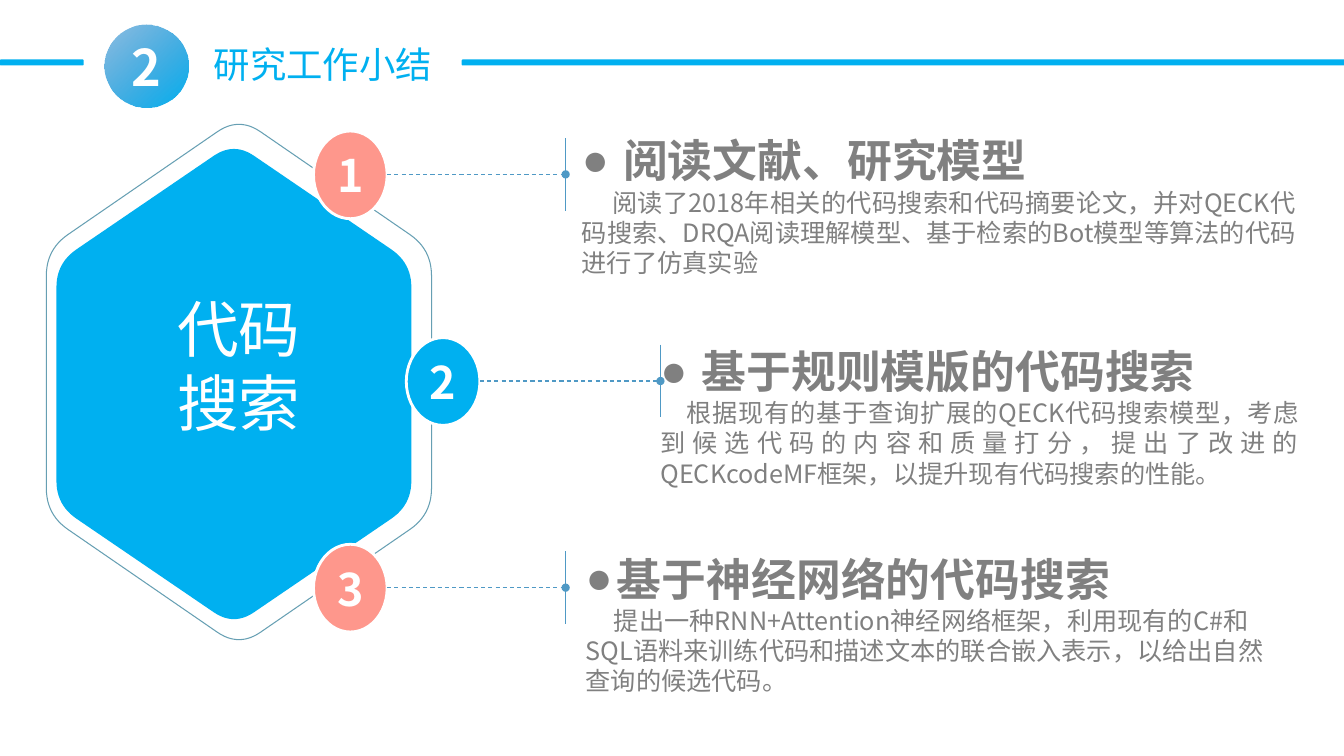
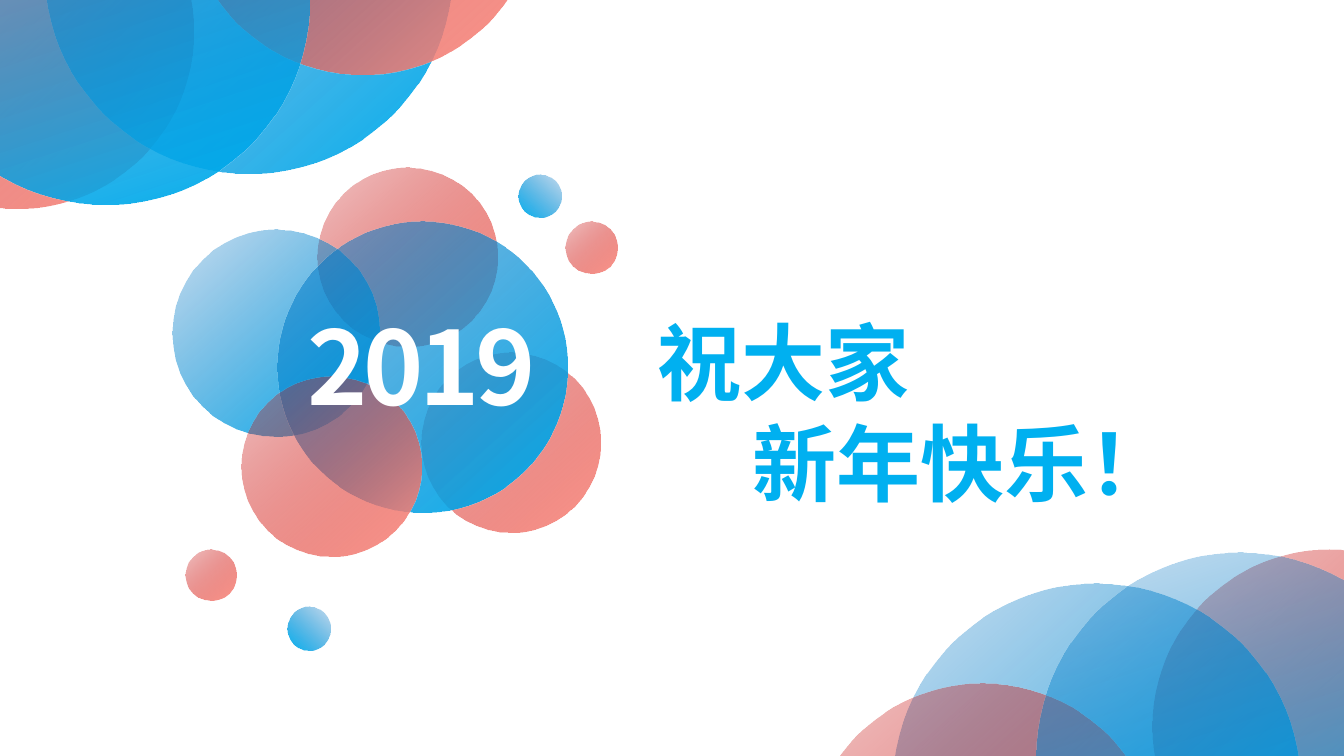
from lxml.etree import SubElement
from pptx import Presentation
from pptx.dml.color import RGBColor
from pptx.enum.dml import MSO_LINE
from pptx.enum.shapes import MSO_CONNECTOR, MSO_SHAPE
from pptx.enum.text import MSO_ANCHOR, MSO_AUTO_SIZE, PP_ALIGN
from pptx.oxml.ns import qn
from pptx.util import Pt

PX = 9144
FONT = "Noto Sans CJK SC"
WHITE, GREY = "FFFFFF", "808080"
BLUE, CORAL = "00B0F0", "FE978C"
RULE, OUTLINE = "4F99C5", "669FB3"
GRADIENT_START = {BLUE: "0070C0", CORAL: "C00000"}

TOPICS = [
    dict(marker=(311, 130), color=CORAL, rule=561, text=(577, 132, 708, 145),
         hanging=41, indent=30, align=PP_ALIGN.JUSTIFY,
         heading="阅读文献、研究模型",
         body="阅读了2018年相关的代码搜索和代码摘要论文，并对QECK代码搜索、"
              "DRQA阅读理解模型、基于检索的Bot模型等算法的代码进行了仿真实验"),
    dict(marker=(403, 335), color=BLUE, rule=655, text=(655, 341, 633, 145),
         hanging=41, indent=26, align=PP_ALIGN.JUSTIFY,
         heading="基于规则模版的代码搜索",
         body="根据现有的基于查询扩展的QECK代码搜索模型，考虑到候选代码的内容和"
              "质量打分，提出了改进的QECKcodeMF框架，以提升现有代码搜索的性能。"),
    dict(marker=(311, 540), color=CORAL, rule=561, text=(581, 547, 694, 145),
         hanging=31, indent=28, align=PP_ALIGN.LEFT,
         heading="基于神经网络的代码搜索",
         body="提出一种RNN+Attention神经网络框架，利用现有的C#和SQL语料来训练"
              "代码和描述文本的联合嵌入表示，以给出自然查询的候选代码。"),
]

BUBBLES = [
    (-159, -144, 351, CORAL, 48, 22),
    (44, -233, 405, BLUE, 48, 22),
    (184, -277, 351, CORAL, 48, 22),
    (-98, -202, 405, BLUE, 72, 22),
    (1143, 545, 351, CORAL, 48, 22),
    (885, 579, 405, BLUE, 48, 22),
    (799, 678, 351, CORAL, 48, 22),
    (1028, 548, 405, BLUE, 72, 22),
    (315, 166, 178, CORAL, 48, 22),
    (418, 350, 178, CORAL, 48, 22),
    (171, 228, 205, BLUE, 48, 22),
    (275, 220, 288, BLUE, 48, 44),
    (514, 173, 43, BLUE, 132, 22),
    (561, 220, 51, CORAL, 48, 22),
    (240, 374, 178, CORAL, 48, 22),
    (285, 602, 43, BLUE, 132, 22),
    (184, 545, 51, CORAL, 48, 22),
]


def rgb(value):
    """Turn a hex string into a colour."""
    return RGBColor.from_string(value)


def emu(*lengths):
    """Turn px lengths into EMU."""
    return [round(length * PX) for length in lengths]


def write(paragraph, text, size, color, bold=False, align=PP_ALIGN.LEFT,
          font=FONT, tracking=0):
    """Put one styled text into a paragraph."""
    paragraph.text = text
    paragraph.alignment = align
    style = paragraph.font
    style.name, style.size, style.bold = font, Pt(size), bold
    style.color.rgb = rgb(color)
    defaults = paragraph._p.pPr.find(qn("a:defRPr"))
    SubElement(defaults, qn("a:ea"), typeface=FONT)
    if tracking:
        defaults.set("spc", str(tracking * 100))


def indent(paragraph, first, left=0, bullet=None):
    """Set the indents of a paragraph and its bullet, if any."""
    properties = paragraph._p.get_or_add_pPr()
    properties.set("marL", str(left * PX))
    properties.set("indent", str(first * PX))
    if bullet:
        SubElement(properties, qn("a:buFont"), typeface="Arial")
        SubElement(properties, qn("a:buChar"), char=bullet)


def set_insets(frame, horizontal=0, vertical=0):
    """Wrap the text of a frame and set its margins."""
    frame.word_wrap = True
    frame.margin_left = frame.margin_right = horizontal * PX
    frame.margin_top = frame.margin_bottom = vertical * PX


def add_text(slide, box):
    """Add a wrapping text box without margins and return its frame."""
    frame = slide.shapes.add_textbox(*emu(*box)).text_frame
    set_insets(frame)
    return frame


def title_frame(slide, box):
    """Move the title placeholder and return its frame."""
    title = slide.shapes.title
    title.left, title.top, title.width, title.height = emu(*box)
    frame = title.text_frame
    set_insets(frame, 10, 5)
    frame.auto_size = MSO_AUTO_SIZE.NONE
    frame.vertical_anchor = MSO_ANCHOR.TOP
    return frame


def style_shape(shape, fill=None, line=None, weight=1):
    """Give a shape a plain fill and outline, and no shadow."""
    shape.shadow.inherit = False
    if fill:
        shape.fill.solid()
        shape.fill.fore_color.rgb = rgb(fill)
    else:
        shape.fill.background()
    if line:
        shape.line.color.rgb = rgb(line)
        shape.line.width = Pt(weight)
    else:
        shape.line.fill.background()


def label(shape, text, size, tracking=0):
    """Centre a bold white label in a shape."""
    frame = shape.text_frame
    set_insets(frame)
    frame.vertical_anchor = MSO_ANCHOR.MIDDLE
    write(frame.paragraphs[0], text, size, WHITE, True, PP_ALIGN.CENTER,
          tracking=tracking)


def add_bubble(slide, left, top, diameter, color, angle, opacity):
    """Add a circle that fades in along a clockwise angle."""
    bubble = slide.shapes.add_shape(
        MSO_SHAPE.OVAL, *emu(left, top, diameter, diameter))
    style_shape(bubble)
    bubble.fill.gradient()
    bubble.fill.gradient_angle = 360 - angle
    start, end = bubble.fill.gradient_stops
    start.color.rgb, end.color.rgb = rgb(GRADIENT_START[color]), rgb(color)
    start_color = next(bubble._element.spPr.iter(qn("a:srgbClr")))
    SubElement(start_color, qn("a:alpha"), val=str(opacity * 1000))
    return bubble


def add_line(slide, start, end, dotted_end=False):
    """Add a thin rule, or a dashed one that ends in a dot."""
    rule = slide.shapes.add_connector(
        MSO_CONNECTOR.STRAIGHT, *emu(*start, *end))
    rule.line.color.rgb = rgb(RULE)
    rule.line.width = Pt(0.75)
    if dotted_end:
        rule.line.dash_style = MSO_LINE.DASH
        SubElement(rule.line._get_or_add_ln(), qn("a:tailEnd"), type="oval")
    SubElement(rule._element.spPr, qn("a:effectLst"))


def toward(start, end, distance):
    """Return the point at a distance from start on the way to end."""
    dx, dy = end[0] - start[0], end[1] - start[1]
    share = distance / (dx * dx + dy * dy) ** 0.5
    return start[0] + dx * share, start[1] + dy * share


def add_hexagon(slide, center, half_width, half_height, cut, **style):
    """Add an upright hexagon with rounded corners."""
    x, y = center
    shoulder = half_height / 2
    corners = [(x, y - half_height), (x + half_width, y - shoulder),
               (x + half_width, y + shoulder), (x, y + half_height),
               (x - half_width, y + shoulder), (x - half_width, y - shoulder)]
    steps = 12
    points = []
    for i, corner in enumerate(corners):
        entry = toward(corner, corners[i - 1], cut)
        leave = toward(corner, corners[(i + 1) % 6], cut)
        for t in (step / steps for step in range(steps + 1)):
            points.append(emu(*(
                (1 - t) ** 2 * a + 2 * t * (1 - t) * b + t * t * c
                for a, b, c in zip(entry, corner, leave))))
    builder = slide.shapes.build_freeform(*points[0])
    builder.add_line_segments(points[1:])
    style_shape(builder.convert_to_shape(), **style)


def add_header(slide, number, heading):
    """Add the section band with its number and title."""
    write(title_frame(slide, (202, 37, 260, 54)).paragraphs[0],
          heading, 26, BLUE)
    for left, width in ((458, 876), (0, 83)):
        band = slide.shapes.add_shape(
            MSO_SHAPE.ROUNDED_RECTANGLE, *emu(left, 59, width, 6))
        style_shape(band, BLUE)
    label(add_bubble(slide, 104, 24, 83, BLUE, 48, 44), number, 36, -3)


def add_topic(slide, number, topic):
    """Add a numbered marker, its leader line and its text."""
    left, top = topic["marker"]
    width, height = 73, 87
    marker = slide.shapes.add_shape(
        MSO_SHAPE.OVAL, *emu(left, top, width, height))
    style_shape(marker, topic["color"], WHITE, 2)
    label(marker, str(number), 32)

    middle, rule = top + height // 2, topic["rule"]
    add_line(slide, (left + width, middle), (rule, middle), True)
    add_line(slide, (rule, middle - 36), (rule, middle + 36))

    frame = add_text(slide, topic["text"])
    heading, body = frame.paragraphs[0], frame.add_paragraph()
    indent(heading, -topic["hanging"], topic["hanging"], "●")
    write(heading, topic["heading"], 32, GREY, True)
    indent(body, topic["indent"])
    write(body, topic["body"], 18, GREY, align=topic["align"])


def build_summary(slide):
    """Build the slide that sums up the research."""
    add_header(slide, "2", "研究工作小结")
    add_hexagon(slide, (232, 381), 176, 240, 24, fill=BLUE)
    add_hexagon(slide, (237, 379), 191, 263, 26, line=OUTLINE, weight=0.75)
    write(add_text(slide, (148, 289, 178, 185)).paragraphs[0],
          "代码搜索", 44, WHITE, align=PP_ALIGN.CENTER)
    for number, topic in enumerate(TOPICS, 1):
        add_topic(slide, number, topic)


def build_greeting(slide):
    """Build the closing slide with the new year wishes."""
    for bubble in BUBBLES:
        add_bubble(slide, *bubble)
    write(add_text(slide, (277, 301, 283, 128)).paragraphs[0],
          "2019", 73, WHITE, True, PP_ALIGN.CENTER, tracking=-3)
    frame = title_frame(slide, (642, 303, 606, 212))
    wishes = [frame.paragraphs[0], frame.add_paragraph()]
    indent(wishes[1], 94)
    for wish, text in zip(wishes, ("祝大家", "新年快乐！")):
        write(wish, text, 60, BLUE, True, font="Arial Narrow")


def main():
    """Build and save the presentation."""
    deck = Presentation()
    deck.slide_width, deck.slide_height = emu(1333, 750)
    title_only = deck.slide_layouts[5]
    for build in (build_summary, build_greeting):
        build(deck.slides.add_slide(title_only))
    deck.save("out.pptx")


if __name__ == "__main__":
    main()
